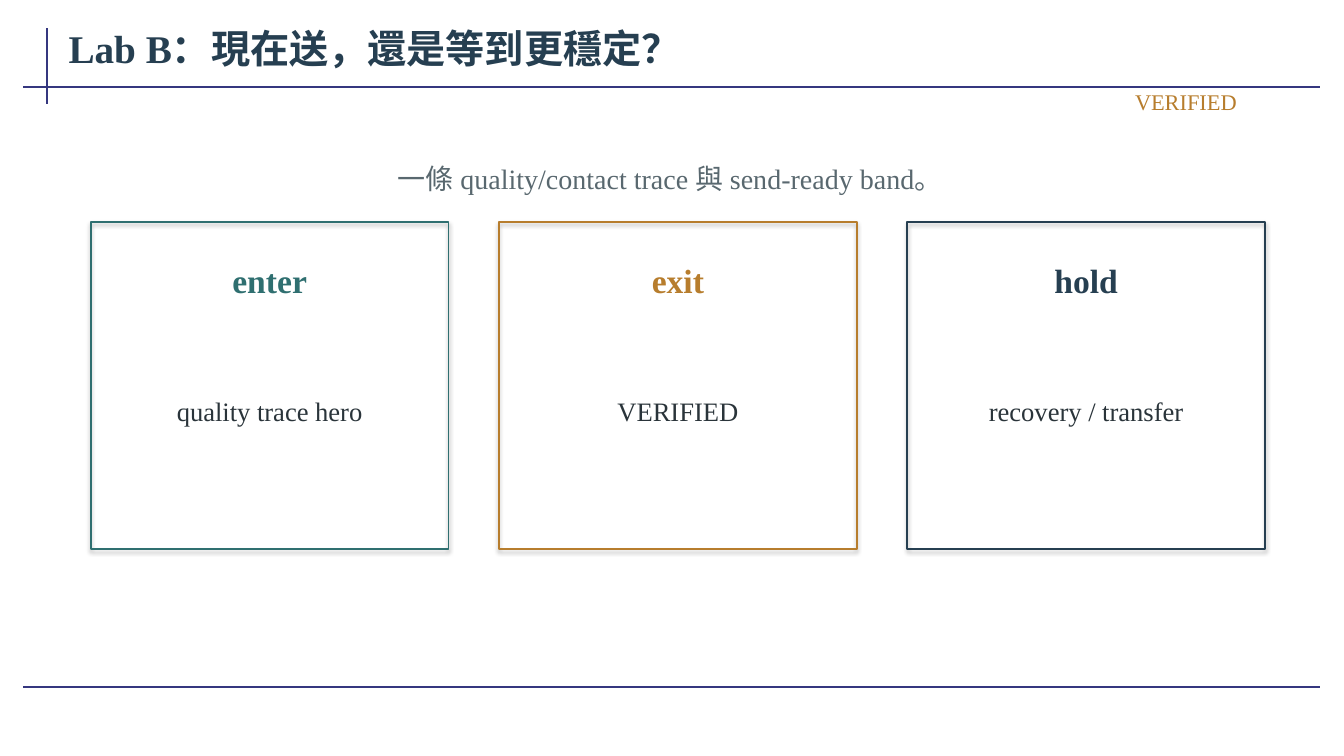
import pptx
import pptx.util
import pptx.dml.color
import pptx.enum.shapes
import pptx.enum.text
import lxml.etree

Pt = pptx.util.Pt
RGBColor = pptx.dml.color.RGBColor
ALIGN = pptx.enum.text.PP_ALIGN

RULE = RGBColor(0x35, 0x37, 0x7F)
NAVY = RGBColor(0x26, 0x3F, 0x51)
GRAY = RGBColor(0x59, 0x68, 0x6F)
TEAL = RGBColor(0x2F, 0x6F, 0x70)
AMBER = RGBColor(0xB7, 0x7D, 0x2D)
INK = RGBColor(0x2A, 0x34, 0x3A)
DRAWING = "http://schemas.openxmlformats.org/drawingml/2006/main"

deck = pptx.Presentation()
deck.slide_width = Pt(960)
deck.slide_height = Pt(540)
page = deck.slides.add_slide(deck.slide_layouts[6])


def add_text(text, left, top, width, height, size, color, align=ALIGN.CENTER, bold=False):
    box = page.shapes.add_textbox(Pt(left), Pt(top), Pt(width), Pt(height))
    frame = box.text_frame
    frame.word_wrap = True
    frame.vertical_anchor = pptx.enum.text.MSO_ANCHOR.MIDDLE
    frame.margin_left = frame.margin_right = Pt(5.76)
    frame.margin_top = frame.margin_bottom = Pt(2.88)
    frame.text = text
    para = frame.paragraphs[0]
    para.alignment = align
    span = para.runs[0]
    span.font.name = "Times New Roman"
    span.font.size = Pt(size)
    span.font.bold = bold
    span.font.color.rgb = color


rules = [(33.84, 20.16, 33.84, 74.16), (16.56, 61.92, 943.2, 61.92), (16.56, 491.04, 943.2, 491.04)]
for start_x, start_y, end_x, end_y in rules:
    rule = page.shapes.add_connector(
        pptx.enum.shapes.MSO_CONNECTOR.STRAIGHT, Pt(start_x), Pt(start_y), Pt(end_x), Pt(end_y))
    rule.line.color.rgb = RULE
    rule.line.width = Pt(1.5)
    lxml.etree.SubElement(rule._element.spPr, f"{{{DRAWING}}}effectLst")

add_text("Lab B：現在送，還是等到更穩定？", 43.2, 11.52, 900.72, 44.64, 28, NAVY, ALIGN.LEFT, True)
add_text("一條 quality/contact trace 與 send-ready band。", 64.8, 106.56, 828, 41.76, 20, GRAY)

cards = [
    ("enter", "quality trace hero", TEAL),
    ("exit", "VERIFIED", AMBER),
    ("hold", "recovery / transfer", NAVY),
]
for index, (heading, detail, color) in enumerate(cards):
    left = 64.8 + index * 291.6
    card = page.shapes.add_shape(
        pptx.enum.shapes.MSO_SHAPE.RECTANGLE, Pt(left), Pt(158.4), Pt(255.6), Pt(234))
    card.fill.background()
    card.line.color.rgb = color
    card.line.width = Pt(1.2)
    card.shadow.inherit = False
    effects = card._element.spPr.find(f"{{{DRAWING}}}effectLst")
    effects.append(lxml.etree.fromstring(
        f'<a:outerShdw xmlns:a="{DRAWING}" blurRad="{Pt(3.1)}" dist="{Pt(1.8)}" dir="5400000" rotWithShape="0">'
        '<a:srgbClr val="000000"><a:alpha val="35000"/></a:srgbClr></a:outerShdw>'))
    add_text(heading, left + 10.8, 176.4, 234, 46.8, 24, color, bold=True)
    add_text(detail, left + 14.4, 237.6, 226.8, 111.6, 19, INK)

add_text("VERIFIED", 658.8, 61.92, 230.4, 21.6, 16, AMBER, ALIGN.RIGHT)

deck.save("out.pptx")
